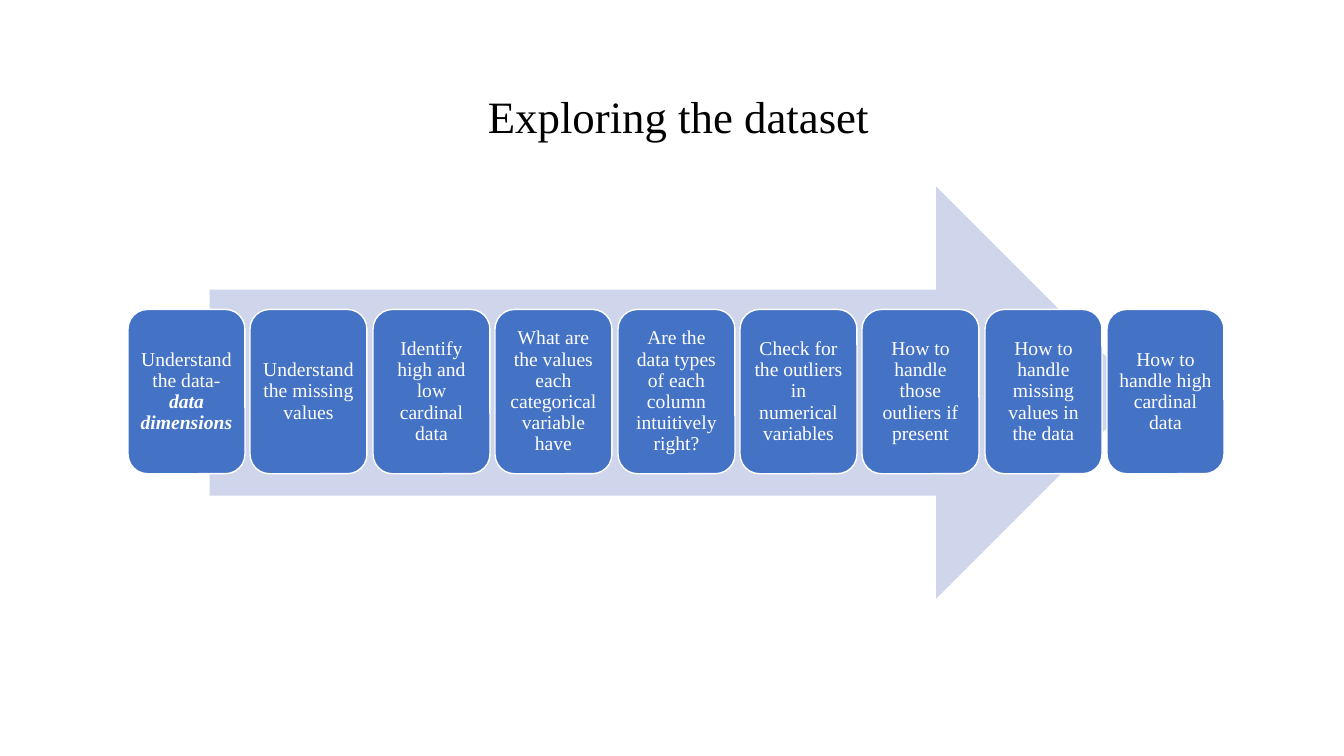
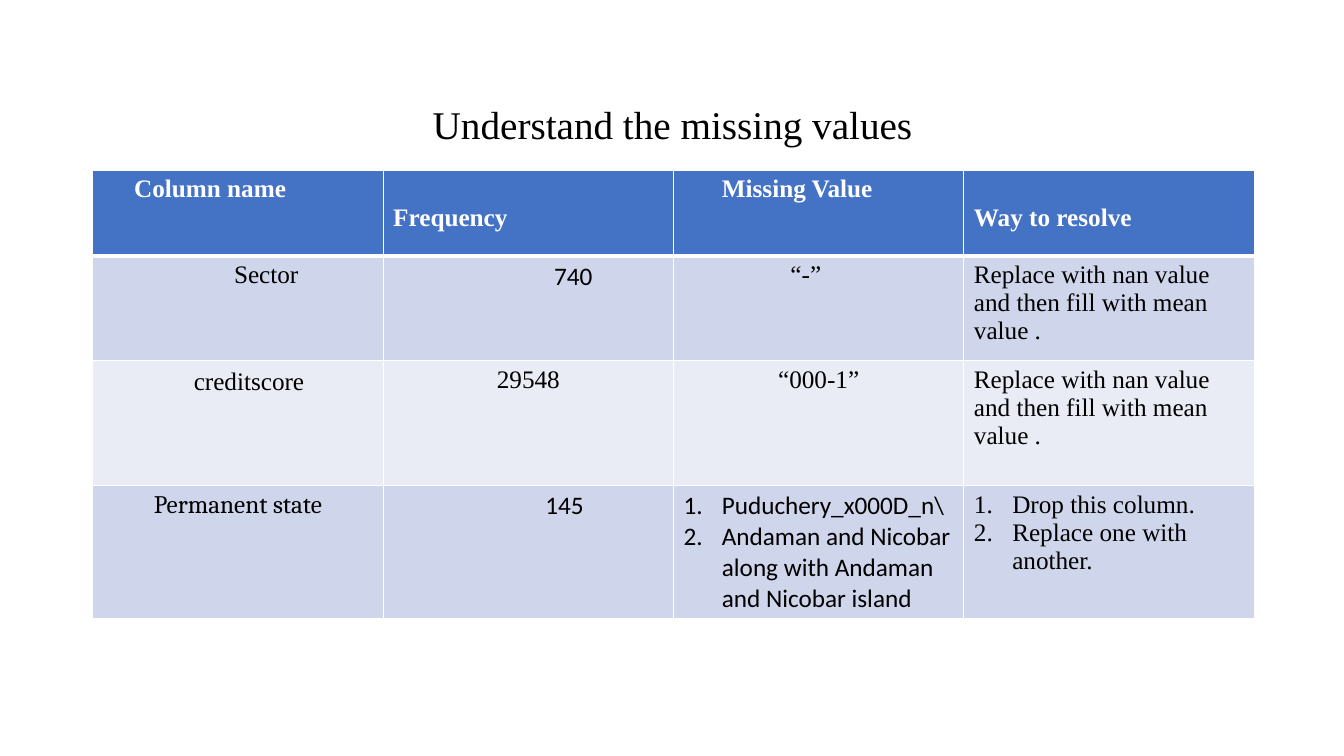
from dataclasses import dataclass

from lxml import etree
from pptx import Presentation
from pptx.dml.color import RGBColor
from pptx.enum.shapes import MSO_SHAPE
from pptx.enum.text import MSO_ANCHOR, PP_ALIGN
from pptx.oxml.ns import qn
from pptx.util import Emu, Pt

ARROW, ROUND = MSO_SHAPE.RIGHT_ARROW, MSO_SHAPE.ROUNDED_RECTANGLE
LEFT, CENTER = PP_ALIGN.LEFT, PP_ALIGN.CENTER
MIDDLE = MSO_ANCHOR.MIDDLE
SCALE = 9144  # EMU per px, 100 px to the inch


@dataclass(frozen=True)
class Theme:
    blue: str = "4472C4"
    band: str = "CFD5EA"
    pale: str = "E9EBF5"
    white: str = "FFFFFF"
    black: str = "000000"
    serif: str = "Times New Roman"
    sans: str = "Calibri"
    book: str = "Cambria"
    large: int = 32
    title: int = 28
    step: int = 14
    body: int = 18


THEME = Theme()


@dataclass(frozen=True)
class Entry:
    """Text of a table cell; pad and drop push it right and down, in px."""
    text: str
    pad: int = 0
    drop: int = 0
    align: int = LEFT
    font: str = THEME.serif
    listed: bool = False


STEPS = [
    ("Understand the data-", "data dimensions"),
    ("Understand the missing values",),
    ("Identify high and low cardinal data",),
    ("What are the values each categorical variable have",),
    ("Are the data types of each column intuitively right?",),
    ("Check for the outliers in numerical variables",),
    ("How to handle those outliers if present",),
    ("How to handle missing values in the data",),
    ("How to handle high cardinal data",),
]

RESOLVE = Entry("Replace with nan value and then fill with mean value .")
ROWS = [
    (Entry("Column name", 31), Entry("Frequency", drop=28),
     Entry("Missing Value", 38), Entry("Way to resolve", drop=28)),
    (Entry("Sector", 56, align=CENTER),
     Entry("740", 89, align=CENTER, font=THEME.sans),
     Entry("“-”", 106), RESOLVE),
    (Entry("creditscore", 22, 2, CENTER), Entry("29548", align=CENTER),
     Entry("“000-1”", align=CENTER), RESOLVE),
    (Entry("Permanent state", align=CENTER, font=THEME.book),
     Entry("145", 72, align=CENTER, font=THEME.sans),
     Entry("Puduchery_x000D_n\\\n"
           "Andaman and Nicobar along with Andaman and Nicobar island",
           font=THEME.sans, listed=True),
     Entry("Drop this column.\nReplace one with another.", listed=True)),
]
FILLS = [THEME.blue, THEME.band, THEME.pale, THEME.band]
HEIGHTS = [85, 104, 124, 132]
COL = 288


def px(count):
    return Emu(count * SCALE)


def frame(*box):
    return [px(side) for side in box]


def paint(fill, color):
    fill.solid()
    fill.fore_color.rgb = RGBColor.from_string(color)


def style(para, size, color, face=THEME.serif, align=CENTER, bold=False):
    para.alignment = align
    font = para.font
    font.name, font.size, font.bold = face, Pt(size), bold
    font.color.rgb = RGBColor.from_string(color)


def add_title(slide, text, size, left, top):
    body = slide.shapes.add_textbox(*frame(left, top, 1150, 145)).text_frame
    body.word_wrap = True
    body.vertical_anchor = MIDDLE
    para = body.paragraphs[0]
    para.text = text
    para.line_spacing = 0.9
    style(para, size, THEME.black)


def add_block(slide, kind, box, color):
    block = slide.shapes.add_shape(kind, *frame(*box))
    block.shadow.inherit = False
    paint(block.fill, color)
    block.line.fill.background()
    return block


def add_step(slide, left, plain, strong=""):
    block = add_block(slide, ROUND, (left, 307, 116, 163), THEME.blue)
    paint(block.line.fill, THEME.white)
    block.line.width = Pt(1)
    body = block.text_frame
    body.word_wrap = True
    body.vertical_anchor = MIDDLE
    body.margin_left = body.margin_right = px(5)
    body.margin_top = body.margin_bottom = px(6)
    para = body.paragraphs[0]
    para.line_spacing = 0.9
    style(para, THEME.step, THEME.white)
    para.add_run().text = plain
    if strong:
        run = para.add_run()
        run.text = strong
        run.font.bold = run.font.italic = True


def number(para):
    """Give the paragraph a hanging automatic number."""
    props = para._p.get_or_add_pPr()
    props.set("marL", str(px(38)))
    props.set("indent", str(-px(38)))
    mark = etree.Element(qn("a:buAutoNum"), type="arabicPeriod")
    props.insert(0, mark)


def edge(cell, side, width):
    props = cell._tc.get_or_add_tcPr()
    line = etree.SubElement(props, qn("a:ln" + side), w=str(Pt(width)))
    fill = etree.SubElement(line, qn("a:solidFill"))
    etree.SubElement(fill, qn("a:srgbClr"), val=THEME.white)


def fill_cell(cell, entry, row):
    head = row == 0
    for side in "LRTB":
        thick = (side, row) in (("B", 0), ("T", 1))
        edge(cell, side, 3 if thick else 1)
    paint(cell.fill, FILLS[row])
    cell.margin_left = px(10 + entry.pad)
    cell.margin_top = px(5 + entry.drop)
    cell.text = entry.text
    color = THEME.white if head else THEME.black
    for para in cell.text_frame.paragraphs:
        style(para, THEME.body, color, entry.font, entry.align, head)
        if entry.listed:
            number(para)


def add_grid(slide, left, top):
    size = frame(left, top, COL * len(ROWS[0]), sum(HEIGHTS))
    grid = slide.shapes.add_table(len(ROWS), len(ROWS[0]), *size).table
    grid.first_row = grid.horz_banding = False
    for col in grid.columns:
        col.width = px(COL)
    for row, entries in enumerate(ROWS):
        grid.rows[row].height = px(HEIGHTS[row])
        for col, entry in enumerate(entries):
            fill_cell(grid.cell(row, col), entry, row)


def main():
    deck = Presentation()
    deck.slide_width, deck.slide_height = frame(1333, 750)
    blank = deck.slide_layouts[6]

    slide = deck.slides.add_slide(blank)
    add_title(slide, "Exploring the dataset", THEME.large, 98, 46)
    add_block(slide, ARROW, (208, 185, 925, 409), THEME.band)
    first, last = 127, 1098
    for i, words in enumerate(STEPS):
        left = first + round((last - first) * i / (len(STEPS) - 1))
        add_step(slide, left, *words)

    slide = deck.slides.add_slide(blank)
    add_title(slide, "Understand the missing values", THEME.title, 92, 53)
    add_grid(slide, 92, 169)

    deck.save("out.pptx")


if __name__ == "__main__":
    main()
